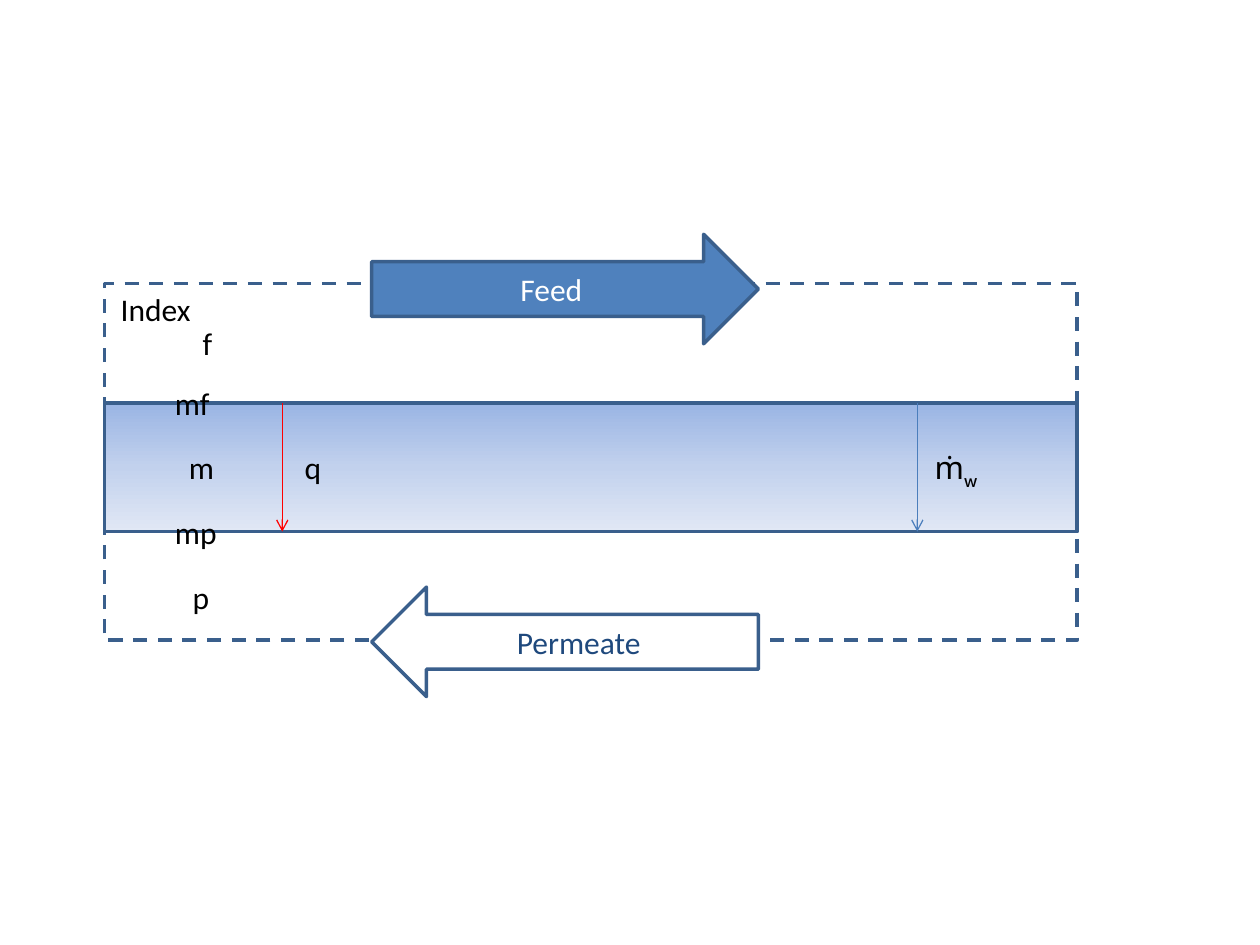
from copy import deepcopy

from pptx import Presentation
from pptx.dml.color import RGBColor
from pptx.enum.dml import MSO_LINE as Dash
from pptx.enum.shapes import MSO_CONNECTOR as Conn, MSO_SHAPE as Geo
from pptx.enum.text import MSO_ANCHOR as Anchor, PP_ALIGN as Align
from pptx.oxml.ns import qn
from pptx.util import Pt
from lxml.etree import SubElement as Sub

EDGE = "3A5F8C"
LEFT, WIDTH = 59.8, 555.8      # module and membrane
TOP, HIGH = 230.4, 73.4        # membrane


def color(code):
    return RGBColor.from_string(code)


def add_run(para, text, code, font="Calibri"):
    run = para.add_run()
    run.text = text
    run.font.size = Pt(18)
    run.font.name = font
    run.font.color.rgb = color(code)
    return run


def add_box(slide, geo, x, y, w, h, fill):
    box = slide.shapes.add_shape(geo, Pt(x), Pt(y), Pt(w), Pt(h))
    box.shadow.inherit = False
    box.fill.solid()
    box.fill.fore_color.rgb = color(fill)
    box.line.color.rgb = color(EDGE)
    box.line.width = Pt(2)
    return box


def add_blend(box, codes):
    """Fill from top to bottom with three evenly spaced colours."""
    fill = box.fill
    fill.gradient()
    fill.gradient_angle = 270
    first = box._element.spPr.find(".//" + qn("a:gs"))
    first.addnext(deepcopy(first))
    for i, (stop, code) in enumerate(zip(fill.gradient_stops, codes)):
        stop.position = i / 2
        stop.color.rgb = color(code)


def add_flow(slide, geo, y, text, fill, ink):
    flow = add_box(slide, geo, 212.4, y, 221, 62.6, fill)
    frame = flow.text_frame
    frame.vertical_anchor = Anchor.MIDDLE
    para = frame.paragraphs[0]
    para.alignment = Align.CENTER
    add_run(para, text, ink)


def add_flux(slide, x, code):
    """Thin arrow down through the membrane."""
    line = slide.shapes.add_connector(
        Conn.STRAIGHT, Pt(x), Pt(TOP), Pt(x), Pt(TOP + HIGH))
    line.line.color.rgb = color(code)
    line.line.width = Pt(0.75)
    Sub(line.line._get_or_add_ln(), qn("a:tailEnd"), type="arrow")
    Sub(line._element.spPr, qn("a:effectLst"))


def add_label(slide, x, y, w, text, font="Calibri"):
    box = slide.shapes.add_textbox(Pt(x), Pt(y), Pt(w), Pt(29))
    box.text_frame.word_wrap = True
    para = box.text_frame.paragraphs[0]
    add_run(para, text, "000000", font)
    return para


def main():
    deck = Presentation()
    deck.slide_width, deck.slide_height = Pt(720), Pt(540)
    slide = deck.slides.add_slide(deck.slide_layouts[6])

    # Module outline and membrane
    module = add_box(slide, Geo.RECTANGLE, LEFT, 162, WIDTH, 203.8, "FFFFFF")
    module.line.dash_style = Dash.DASH
    wall = add_box(slide, Geo.RECTANGLE, LEFT, TOP, WIDTH, HIGH, "FFFFFF")
    add_blend(wall, ("9AB5E4", "C2D1ED", "E1E8F5"))

    # Mass flux
    add_flux(slide, 524.2, "4B7EBC")
    para = add_label(slide, 527, 252.7, 39.6, "ṁ", "Cabin")
    sub = add_run(para, "w", "000000", "Cabin")
    sub.font._element.set("baseline", "-25000")

    # Feed and permeate
    add_flow(slide, Geo.RIGHT_ARROW, 133.9, "Feed", "4F81BD", "FFFFFF")
    add_flow(slide, Geo.LEFT_ARROW, 335.5, "Permeate", "FFFFFF", "1F497D")

    # Heat flux
    add_flux(slide, 161.3, "FF0000")
    add_label(slide, 167, 252.7, 62.6, "q")

    # Index names
    for x, y, w, text in (
        (61.9, 162, 62.6, "Index"),
        (108.7, 181.4, 25.2, "f"),
        (92.9, 216, 41, "mf"),
        (100.8, 252.7, 25.2, "m"),
        (92.9, 289.4, 41, "mp"),
        (103, 326.9, 29.5, "p"),
    ):
        add_label(slide, x, y, w, text)

    deck.save("out.pptx")


if __name__ == "__main__":
    main()
